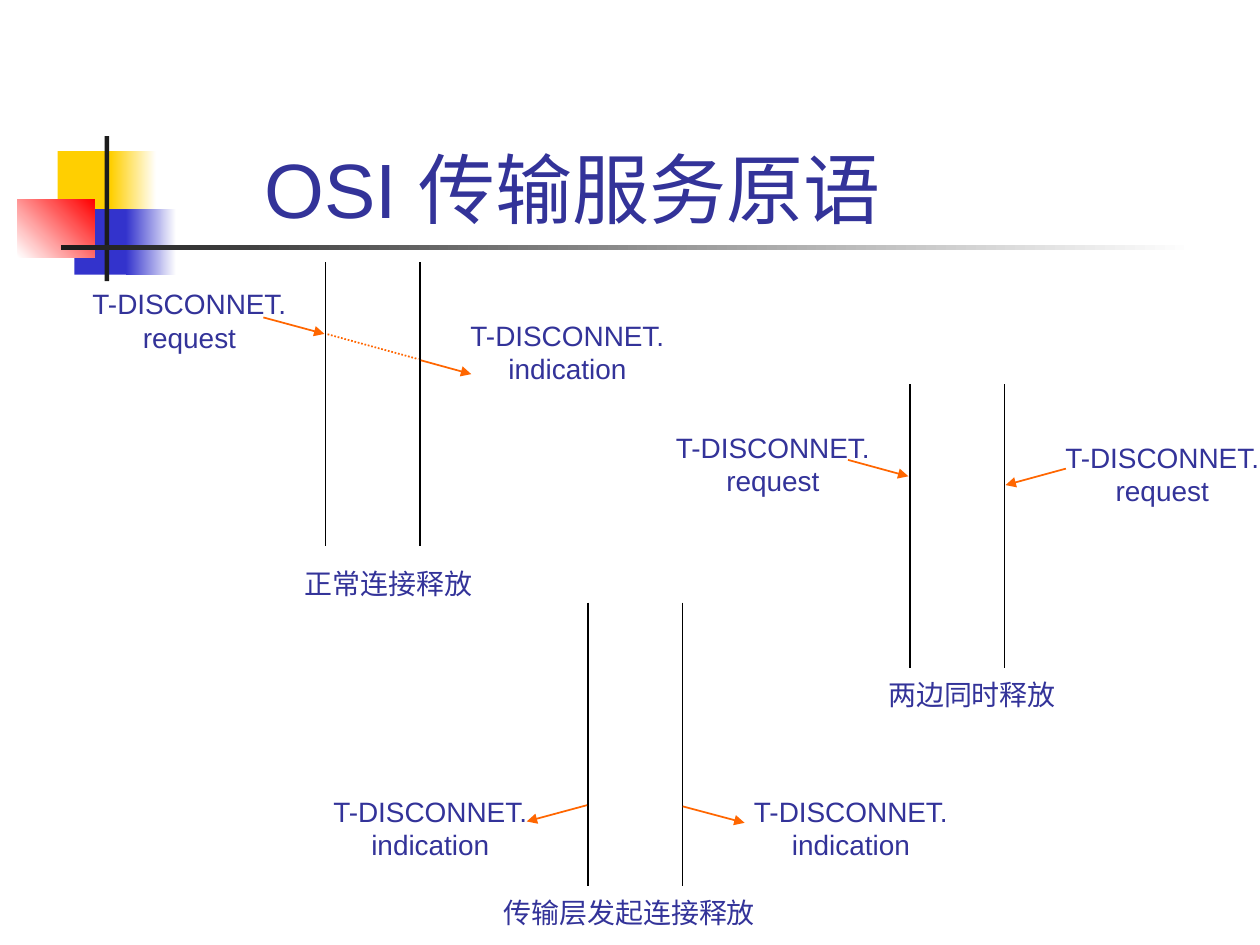
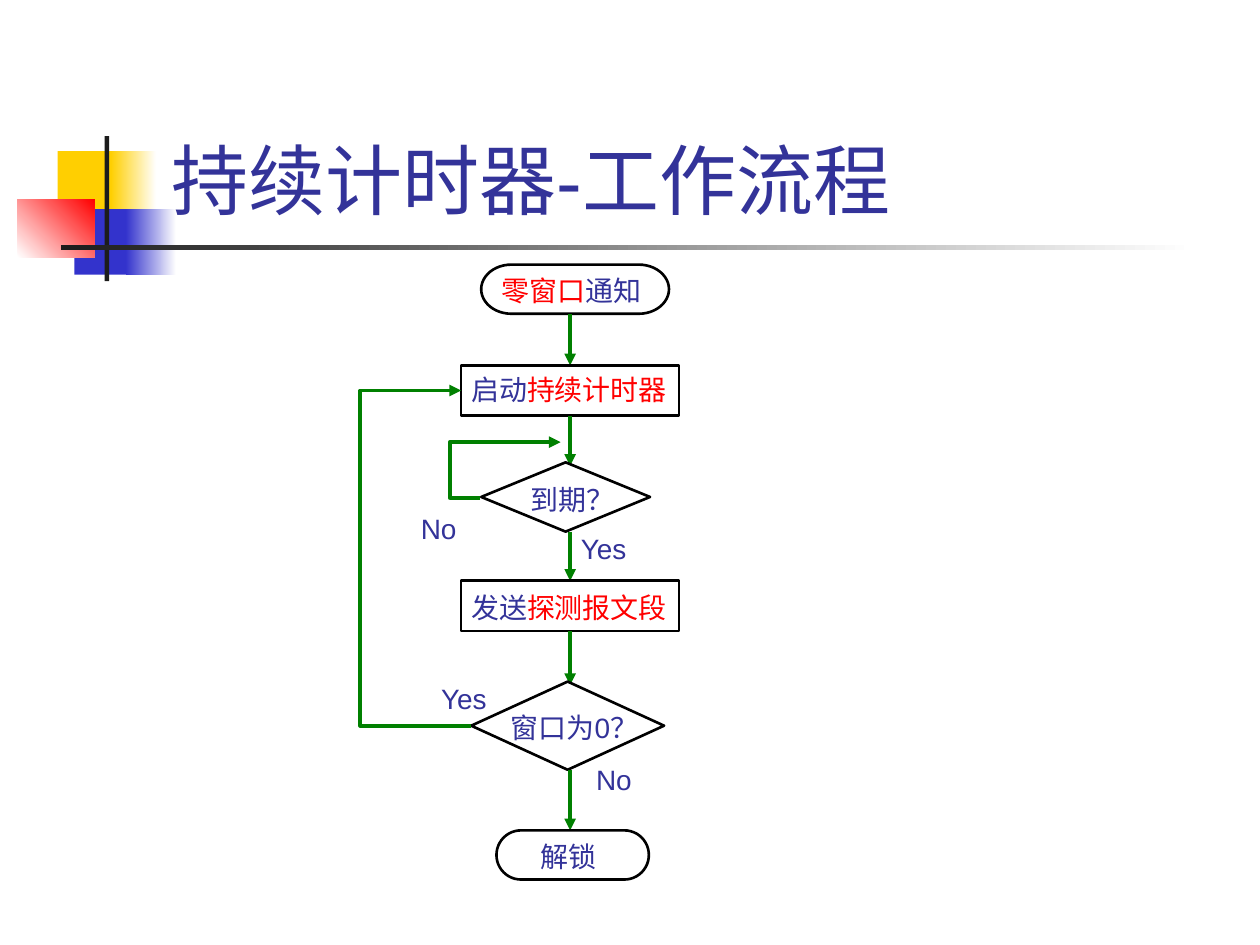
"""Build two slides on transport connection release and the persist timer."""
from lxml import etree
from pptx import Presentation
from pptx.dml.color import RGBColor
from pptx.enum import dml, shapes, text as txt
from pptx.oxml import ns
from pptx.util import Pt

NAVY = RGBColor(0x33, 0x33, 0x99)
BLUE = RGBColor(0x33, 0x33, 0xCC)
YELLOW = RGBColor(0xFF, 0xCF, 0x01)
RED = RGBColor(0xFF, 0x00, 0x00)
ORANGE = RGBColor(0xFF, 0x66, 0x00)
GREEN = RGBColor(0x00, 0x80, 0x00)
CHARCOAL = RGBColor(0x1C, 0x1C, 0x1C)
BLACK = RGBColor(0x00, 0x00, 0x00)
WHITE = RGBColor(0xFF, 0xFF, 0xFF)
SANS, SERIF = "Arial", "Times New Roman"
LEFT, CENTER = txt.PP_ALIGN.LEFT, txt.PP_ALIGN.CENTER
TOP, MIDDLE, BOTTOM = txt.MSO_ANCHOR.TOP, txt.MSO_ANCHOR.MIDDLE, txt.MSO_ANCHOR.BOTTOM
RECT = shapes.MSO_SHAPE.RECTANGLE
DIAMOND = shapes.MSO_SHAPE.DIAMOND
TERMINATOR = shapes.MSO_SHAPE.FLOWCHART_TERMINATOR


def write(slide, box, wording, size=16, font=SANS, align=LEFT, anchor=TOP,
          inset=(0, 0), wrap=True, accent="", accent_font=SANS):
    frame = slide.shapes.add_textbox(*map(Pt, box)).text_frame
    frame.word_wrap = wrap
    frame.auto_size = txt.MSO_AUTO_SIZE.NONE
    frame.vertical_anchor = anchor
    frame.margin_left = frame.margin_right = Pt(inset[0])
    frame.margin_top = frame.margin_bottom = Pt(inset[1])
    for index, line in enumerate(wording.split("\n")):
        paragraph = frame.add_paragraph() if index else frame.paragraphs[0]
        paragraph.alignment = align
        for part in line.partition(accent) if accent else (line,):
            if part:
                run = paragraph.add_run()
                run.text = part
                run.font.size = Pt(size)
                run.font.name = accent_font if part == accent else font
                run.font.color.rgb = RED if part == accent else NAVY


def connect(slide, start, end, color, width, arrow=True, via=None):
    kind = shapes.MSO_CONNECTOR.STRAIGHT if via is None else shapes.MSO_CONNECTOR.ELBOW
    link = slide.shapes.add_connector(kind, *map(Pt, (*start, *end)))
    link.line.color.rgb = color
    link.line.width = Pt(width)
    properties = link._element.spPr
    if arrow:
        etree.SubElement(properties.find(ns.qn("a:ln")), ns.qn("a:tailEnd"), type="triangle")
    if via is not None:
        bend = round((via - start[0]) / (end[0] - start[0]) * 100000)
        guides = properties.find(ns.qn("a:prstGeom")).find(ns.qn("a:avLst"))
        etree.SubElement(guides, ns.qn("a:gd"), name="adj1", fmla=f"val {bend}")
    etree.SubElement(properties, ns.qn("a:effectLst"))
    return link


deck = Presentation()
deck.slide_width, deck.slide_height = Pt(720), Pt(540)

ornaments = [
    (33, 86.4, 34.6, 37.4, YELLOW, None, 0),
    (63.4, 86.4, 25.9, 37.4, YELLOW, WHITE, 0),
    (42.5, 119.5, 33.1, 37.4, BLUE, None, 0),
    (72, 119.5, 28.8, 37.4, BLUE, WHITE, 0),
    (10.1, 113.8, 43.9, 33.1, WHITE, RED, 45),
    (59.8, 77.8, 2.6, 82.8, CHARCOAL, None, 0),
    (34.6, 140.2, 648, 2.6, CHARCOAL, WHITE, 0),
]
titles = [
    ("OSI 传输服务原语", (144, 84.2, 396, 53.3)),
    ("持续计时器-工作流程", (90.7, 16.6, 613.4, 115.2)),
]
for title, title_box in titles:
    slide = deck.slides.add_slide(deck.slide_layouts[6])
    for left, top, width, height, first, last, angle in ornaments:
        ornament = slide.shapes.add_shape(RECT, *map(Pt, (left, top, width, height)))
        ornament.shadow.inherit = False
        ornament.line.fill.background()
        if last is None:
            ornament.fill.solid()
            ornament.fill.fore_color.rgb = first
        else:
            ornament.fill.gradient()
            ornament.fill.gradient_angle = angle
            for stop, color in zip(ornament.fill.gradient_stops, (first, last)):
                stop.color.rgb = color
    write(slide, title_box, title, size=44, anchor=BOTTOM, inset=(7.2, 3.6))

release, timer = deck.slides

scenarios = [
    (186, 150, "正常连接释放", 156.2, 318.2),
    (520, 219.6, "两边同时释放", 489.6, 381.6),
    (336, 344.4, "传输层发起连接释放", 293.8, 506.2),
]
for host_x, host_top, caption, caption_left, caption_top in scenarios:
    for x in (host_x, host_x + 54):
        connect(release, (x, host_top), (x, host_top + 162), BLACK, 1, arrow=False)
    write(release, (caption_left, caption_top, 131.8, 30.2), caption,
          align=CENTER, anchor=MIDDLE, inset=(7.2, 3.6), wrap=False)

primitives = [
    (66.2, 162, "request", (150.5, 181.4), (185.4, 190.8)),
    (282.2, 180, "indication", (240.5, 205.9), (269.3, 213.8)),
    (399.6, 244, "request", (484.6, 262.8), (519.1, 272.2)),
    (622.1, 249.9, "request", (609.1, 267.8), (574.6, 277.2)),
    (203.8, 452.2, "indication", (335.5, 460.1), (301, 469.4)),
    (444.2, 452.2, "indication", (390.2, 460.8), (425.5, 470.2)),
]
for left, top, primitive, start, end in primitives:
    connect(release, start, end, ORANGE, 1)
    write(release, (left, top, 84.2, 41.8), f"T-DISCONNET.\n{primitive}",
          align=CENTER, anchor=MIDDLE, inset=(7.2, 3.6), wrap=False)
transit = connect(release, (187.2, 191), (239, 205.2), ORANGE, 1, arrow=False)
transit.line.dash_style = dml.MSO_LINE.ROUND_DOT

axis = 325.8
steps = [
    (TERMINATOR, (275, 151.2, 107.3, 28.1), "零窗口通知", (286.6, 156.2, 84),
     dict(font=SERIF, accent="零窗口", accent_font=SERIF)),
    (RECT, (263.5, 208.8, 124.6, 28.8), "启动持续计时器", (269.3, 213.1, 116),
     dict(accent="持续计时器", accent_font=SERIF)),
    (DIAMOND, (275, 264.2, 96.5, 39.6), "到期？", (301.2, 275.8, 52), dict(align=CENTER)),
    (RECT, (263.5, 331.9, 124.6, 28.8), "发送探测报文段", (269.3, 337.7, 116),
     dict(accent="探测报文段")),
    (DIAMOND, (269.3, 389.5, 110.2, 50.4), "窗口为0？", (285.3, 406.1, 86), dict(align=CENTER)),
    (TERMINATOR, (283.7, 474.5, 87.1, 28.1), "解锁", (308.9, 479.5, 36), dict(font=SERIF)),
]
previous = None
for outline, box, wording, (left, top, width), style in steps:
    if previous:
        tip = box[1] + 2 if outline == DIAMOND else box[1]
        flow = connect(timer, (axis, previous_bottom), (axis, tip), GREEN, 2.25)
        if previous.auto_shape_type == RECT:
            flow.begin_connect(previous, 2)
    step = timer.shapes.add_shape(outline, *map(Pt, box))
    step.shadow.inherit = False
    step.fill.solid()
    step.fill.fore_color.rgb = WHITE
    step.line.color.rgb = BLACK
    step.line.width = Pt(1.5)
    if previous and outline == RECT:
        flow.end_connect(step, 0)
    write(timer, (left, top, width, 19.4), wording, **style)
    previous, previous_bottom = step, box[1] + box[3]

connect(timer, (269.3, 414.7), (263.5, 223.2), GREEN, 2.25, via=205.9)
connect(timer, (274.6, 284.4), (320.4, 252.7), GREEN, 2.25, via=257)

answers = [("No", 240.5, 292.3), ("Yes", 331.9, 303.8), ("Yes", 252, 389.5), ("No", 340.6, 435.6)]
for answer, left, top in answers:
    write(timer, (left, top, 32, 19.4), answer)

deck.save("out.pptx")
